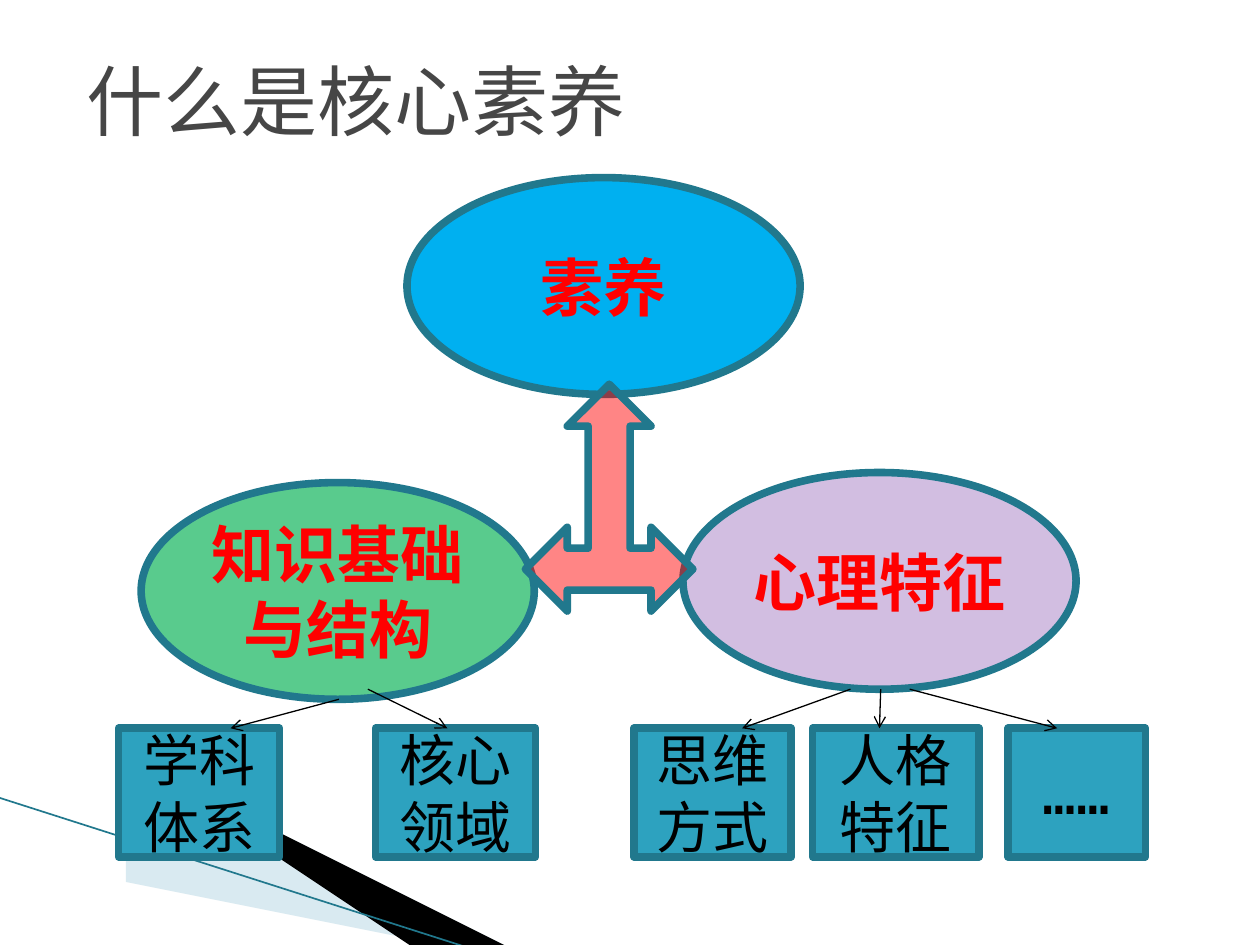
"""Build a slide that explains core literacy as a three-part diagram."""
import pptx
import pptx.dml.color
import pptx.enum.shapes
import pptx.enum.text
import pptx.oxml
import pptx.oxml.ns
import pptx.util

Inches = pptx.util.Inches
Pt = pptx.util.Pt
SHAPE = pptx.enum.shapes.MSO_SHAPE
ALIGN = pptx.enum.text.PP_ALIGN
FONT = "DejaVu Sans Mono"
COLORS = {
    "title": "464646", "label": "FF0000", "black": "000000",
    "border": "21788D", "box": "2DA2BF", "wedge": "A0CBDC",
    "literacy": "00B0F0", "knowledge": "00B050", "mind": "7030A0",
    "arrow": "FF0000",
}
TITLE = {"size": Pt(44), "bold": False}
LABEL = {"size": Pt(36), "bold": True}
BOX = {"size": Pt(32), "bold": False}


def rgb(name):
    return pptx.dml.color.RGBColor.from_string(COLORS[name])


def add_xml(parent, tag, **attrs):
    el = pptx.oxml.parse_xml(f"<a:{tag} {pptx.oxml.ns.nsdecls('a')}/>")
    for key, value in attrs.items():
        el.set(key, value)
    parent.append(el)


def set_fill(sp, color, alpha=100):
    sp.shadow.inherit = False
    sp.fill.solid()
    sp.fill.fore_color.rgb = rgb(color)
    if alpha < 100:
        clr = sp.fill._xPr.find(".//" + pptx.oxml.ns.qn("a:srgbClr"))
        add_xml(clr, "alpha", val=str(alpha * 1000))


def set_text(sp, text, color, fmt, align=ALIGN.CENTER):
    tf = sp.text_frame
    tf.word_wrap = True
    tf.vertical_anchor = pptx.enum.text.MSO_ANCHOR.MIDDLE
    p = tf.paragraphs[0]
    p.alignment = align
    r = p.add_run()
    r.text = text
    r.font.name = FONT
    r.font.color.rgb = rgb(color)
    for key, value in fmt.items():
        setattr(r.font, key, value)
    add_xml(r._r.get_or_add_rPr(), "ea", typeface=FONT)
    return p


def add_shape(s, kind, box, color, alpha=100):
    sp = s.shapes.add_shape(kind, *map(Inches, box))
    set_fill(sp, color, alpha)
    sp.line.color.rgb = rgb("border")
    sp.line.width = Pt(4.33)
    return sp


def add_wedge(s, points, color, alpha=100):
    fb = s.shapes.build_freeform(*points[0], scale=Inches(1))
    fb.add_line_segments(points[1:], close=True)
    sp = fb.convert_to_shape()
    set_fill(sp, color, alpha)
    sp.line.fill.background()


def add_line(s, start, end, color, width, arrow=True):
    cn = s.shapes.add_connector(
        pptx.enum.shapes.MSO_CONNECTOR.STRAIGHT, *map(Inches, start + end))
    cn.line.color.rgb = rgb(color)
    cn.line.width = Pt(width)
    if arrow:
        add_xml(cn.line._get_or_add_ln(), "tailEnd", type="arrow")
    add_xml(cn._element.spPr, "effectLst")


def add_title(s, text):
    sp = s.shapes.add_textbox(*map(Inches, (0.59, 0.44, 8.03, 0.79)))
    p = set_text(sp, text, "title", TITLE, ALIGN.LEFT)
    p.line_spacing = 0.9


def main():
    prs = pptx.Presentation()
    prs.slide_width, prs.slide_height = Inches(10), Inches(7.5)
    s = prs.slides.add_slide(prs.slide_layouts[6])

    add_wedge(s, [(0.55, 6.51), (5.95, 7.51), (4.56, 7.51), (0.55, 6.5)],
              "wedge", 40)
    add_wedge(s, [(0.53, 6.49), (4.57, 7.51), (3.72, 7.52), (0.54, 6.5)],
              "black")
    add_line(s, (-0.01, 6.33), (3.71, 7.52), "border", 0.95, arrow=False)
    add_title(s, "什么是核心素养")

    for text, x, y, color, alpha in (
            ("素养", 3.23, 1.41, "literacy", 100),
            ("知识基础与结构", 1.12, 3.83, "knowledge", 65),
            ("心理特征", 5.42, 3.75, "mind", 31)):
        sp = add_shape(s, SHAPE.OVAL, (x, y, 3.12, 1.72), color, alpha)
        set_text(sp, text, "label", LABEL)

    box_top = 5.78
    for text, x, width in (
            ("学科体系", 0.94, 1.28), ("核心领域", 2.98, 1.27),
            ("思维方式", 5.03, 1.25), ("人格特征", 6.45, 1.32),
            ("……", 8, 1.09)):
        sp = add_shape(s, SHAPE.RECTANGLE, (x, box_top, width, 1.02), "box")
        set_text(sp, text, "black", BOX)

    add_shape(s, SHAPE.LEFT_RIGHT_UP_ARROW, (4.17, 3.05, 1.33, 1.8),
              "arrow", 48)
    for x1, y1, x2 in ((2.69, 5.55, 1.83), (2.92, 5.47, 3.55),
                       (6.75, 5.47, 5.89), (6.99, 5.47, 6.98),
                       (7.22, 5.47, 8.39)):
        add_line(s, (x1, y1), (x2, box_top), "black", 0.75)

    prs.save("out.pptx")


main()
